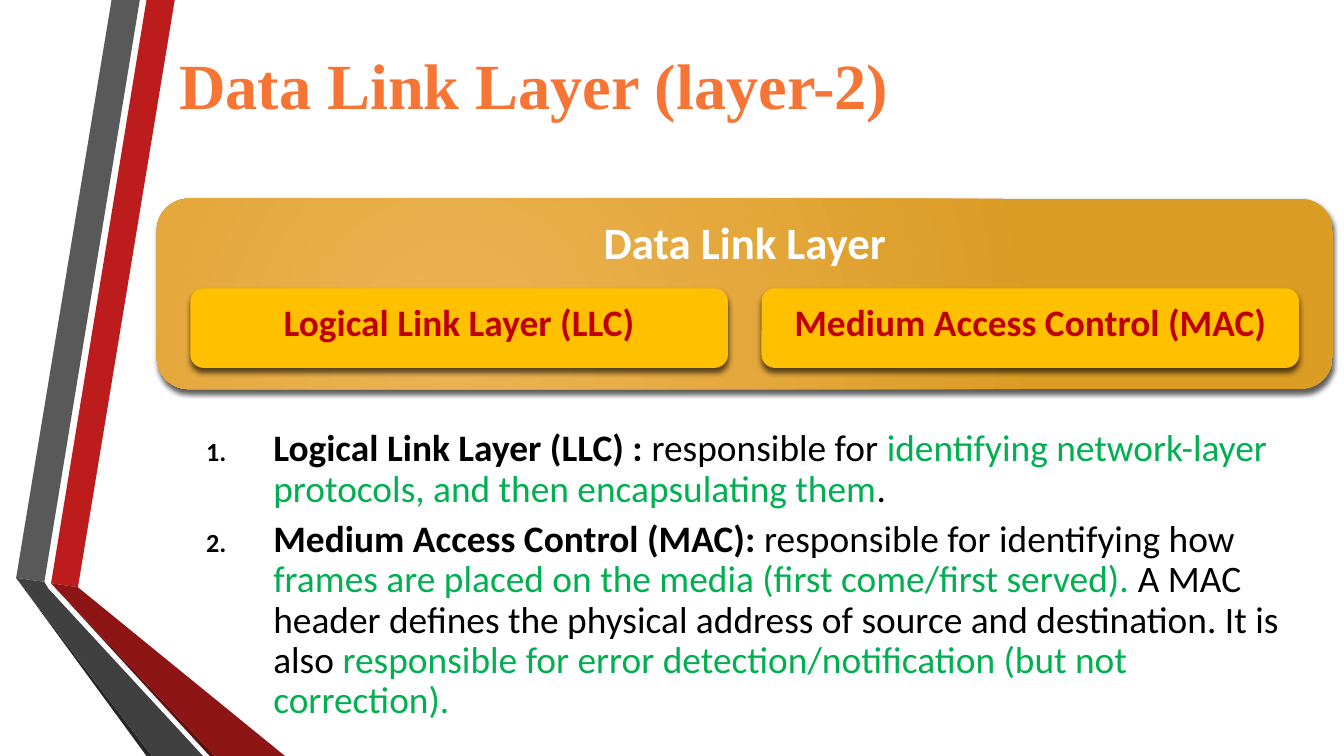
from dataclasses import dataclass

from lxml.etree import SubElement
from pptx import Presentation
from pptx.dml.color import RGBColor
from pptx.enum.shapes import MSO_SHAPE
from pptx.enum.text import MSO_ANCHOR, MSO_AUTO_SIZE, PP_ALIGN
from pptx.oxml import parse_xml
from pptx.oxml.ns import nsdecls, qn
from pptx.util import Inches, Pt

WIDTH = 10
HEIGHT = WIDTH * 9 / 16
COLUMNS = 120
UNIT = WIDTH / COLUMNS


@dataclass(frozen=True)
class Theme:
    """Colours, fonts and type sizes of the slide."""
    title_font: str = "Times New Roman"
    body_font: str = "Calibri"
    title: str = "F67534"
    text: str = "000000"
    highlight: str = "00B050"
    panel_text: str = "FFFFFF"
    panel_light: str = "ECB354"
    panel_dark: str = "DB9C24"
    box: str = "FFC000"
    box_text: str = "C00000"
    title_size: float = 34.5
    panel_size: float = 24
    body_size: float = 20


THEME = Theme()

BANDS = [
    ("BC1C1C", [(0.38, 4.34), (0.58, 4.37), (1.3, 0), (1.09, 0)]),
    ("595959", [(1.04, 0), (0.83, 0), (0.12, 4.3), (0.33, 4.33)]),
    ("262626", [(0.12, 4.3), (1.09, HEIGHT), (1.13, HEIGHT)]),
    ("5E0E0E", [(0.38, 4.34), (1.56, HEIGHT), (1.6, HEIGHT)]),
    ("8D1515", [(0.38, 4.34), (1.6, HEIGHT), (2.12, HEIGHT), (0.58, 4.37)]),
    ("404040", [(1.51, HEIGHT), (0.36, 4.38), (0.33, 4.33), (0.12, 4.3), (1.13, HEIGHT)]),
]

SUBLAYERS = ["Logical Link Layer (LLC)", "Medium Access Control (MAC)"]

DUTIES = [
    [("Logical Link Layer (LLC) :", "name"),
     (" responsible for", "plain"),
     (" identifying network-layer protocols, and then encapsulating them", "key"),
     (".", "plain")],
    [("Medium Access Control (MAC):", "name"),
     (" responsible for identifying how ", "plain"),
     ("frames are placed on the media (first come/first served). ", "key"),
     ("A MAC header defines the physical address of source and destination. It is also ", "plain"),
     ("responsible for error detection/notification (but not correction).", "key")],
]

RUN_STYLES = {
    "name": (THEME.text, True),
    "plain": (THEME.text, False),
    "key": (THEME.highlight, False),
}


def apply_format(target, values):
    """Set every attribute named in a dict of format values."""
    for name, value in values.items():
        setattr(target, name, value)


def place(*cells):
    """Turn grid units into lengths."""
    return [Inches(cell * UNIT) for cell in cells]


def add_run(paragraph, text, font, size, colour, bold=True):
    """Add one formatted run to a paragraph."""
    run = paragraph.add_run()
    run.text = text
    apply_format(run.font, {"name": font, "size": Pt(size), "bold": bold})
    run.font.color.rgb = RGBColor.from_string(colour)


def prepare_placeholder(slide, index, cells, frame_format):
    """Move a placeholder to the front and return its text frame."""
    placeholder = slide.placeholders[index]
    slide.shapes._spTree.append(placeholder._element)
    apply_format(placeholder, dict(zip(("left", "top", "width", "height"), place(*cells))))
    frame = placeholder.text_frame
    apply_format(frame, {"word_wrap": True, "auto_size": MSO_AUTO_SIZE.NONE, **frame_format})
    return frame


def add_band(slide, colour, points):
    """Draw one filled polygon of the side ribbon."""
    corners = [(Inches(x), Inches(y)) for x, y in points]
    builder = slide.shapes.build_freeform(*corners[0])
    builder.add_line_segments(corners[1:], close=True)
    band = builder.convert_to_shape()
    band.fill.solid()
    band.fill.fore_color.rgb = RGBColor.from_string(colour)
    band.line.fill.background()
    band.shadow.inherit = False


def add_shadow(shape):
    """Give a shape a soft shadow below it."""
    shape.shadow.inherit = False
    effects = shape._element.spPr.find(qn("a:effectLst"))
    effects.append(parse_xml(
        f'<a:outerShdw {nsdecls("a")} blurRad="{Pt(3)}" dist="{Pt(2)}" dir="5400000" '
        'algn="ctr" rotWithShape="0"><a:srgbClr val="000000"><a:alpha val="64000"/>'
        '</a:srgbClr></a:outerShdw>'))


def fill_radial(shape, colours):
    """Fill a shape with a circular gradient of two colours."""
    shape.fill.gradient()
    for stop, colour in zip(shape.fill.gradient_stops, colours):
        stop.color.rgb = RGBColor.from_string(colour)
    gradient = shape._element.spPr.find(qn("a:gradFill"))
    gradient.replace(gradient.find(qn("a:lin")), parse_xml(
        f'<a:path {nsdecls("a")} path="circle">'
        '<a:fillToRect l="50000" t="100000" r="100000" b="50000"/></a:path>'))


def add_box(slide, cells, text, size, colour):
    """Add a rounded box with a shadow and a centred heading."""
    box = slide.shapes.add_shape(MSO_SHAPE.ROUNDED_RECTANGLE, *place(*cells))
    box.line.fill.background()
    add_shadow(box)
    frame = box.text_frame
    apply_format(frame, {"word_wrap": True, "vertical_anchor": MSO_ANCHOR.TOP})
    paragraph = frame.paragraphs[0]
    paragraph.alignment = PP_ALIGN.CENTER
    add_run(paragraph, text, THEME.body_font, size, colour)
    return box


def add_title(slide, text):
    """Write the slide title."""
    frame = prepare_placeholder(slide, 0, (16, 3.75, 90, 7.5), {
        "vertical_anchor": MSO_ANCHOR.MIDDLE, "margin_left": 0, "margin_right": 0,
        "margin_top": 0, "margin_bottom": 0})
    paragraph = frame.paragraphs[0]
    paragraph.alignment = PP_ALIGN.LEFT
    add_run(paragraph, text, THEME.title_font, THEME.title_size, THEME.title)


def add_numbered_list(slide, items):
    """Write the numbered list in the body placeholder."""
    frame = prepare_placeholder(slide, 1, (13, 37.75, 104, 17), {"vertical_anchor": MSO_ANCHOR.TOP})
    for number, runs in enumerate(items):
        paragraph = frame.add_paragraph() if number else frame.paragraphs[0]
        apply_format(paragraph, {"line_spacing": 0.9, "space_before": Pt(5.5),
                                 "alignment": PP_ALIGN.LEFT})
        properties = paragraph._p.get_or_add_pPr()
        properties.set("marL", str(Inches(0.85)))
        properties.set("indent", str(Inches(-0.5)))
        SubElement(properties, qn("a:buSzPct"), val="70000")
        SubElement(properties, qn("a:buFont"), typeface="+mj-lt")
        SubElement(properties, qn("a:buAutoNum"), type="arabicPeriod")
        for text, style in runs:
            add_run(paragraph, text, THEME.body_font, THEME.body_size, *RUN_STYLES[style])


def add_layer_diagram(slide):
    """Draw the layer panel with its two sublayers."""
    panel = add_box(slide, (14, 17.75, 105, 17), "Data Link Layer",
                    THEME.panel_size, THEME.panel_text)
    fill_radial(panel, (THEME.panel_light, THEME.panel_dark))
    width, gap = 48, 3
    for column, name in enumerate(SUBLAYERS):
        box = add_box(slide, (17 + column * (width + gap), 25.75, width, 7.1), name,
                      THEME.body_size, THEME.box_text)
        box.fill.solid()
        box.fill.fore_color.rgb = RGBColor.from_string(THEME.box)


def main():
    """Build the slide and save it."""
    presentation = Presentation()
    apply_format(presentation, {"slide_width": Inches(WIDTH), "slide_height": Inches(HEIGHT)})
    slide = presentation.slides.add_slide(presentation.slide_layouts[1])
    for colour, points in BANDS:
        add_band(slide, colour, points)
    add_title(slide, "Data Link Layer (layer-2)")
    add_numbered_list(slide, DUTIES)
    add_layer_diagram(slide)
    presentation.save("out.pptx")


if __name__ == "__main__":
    main()
